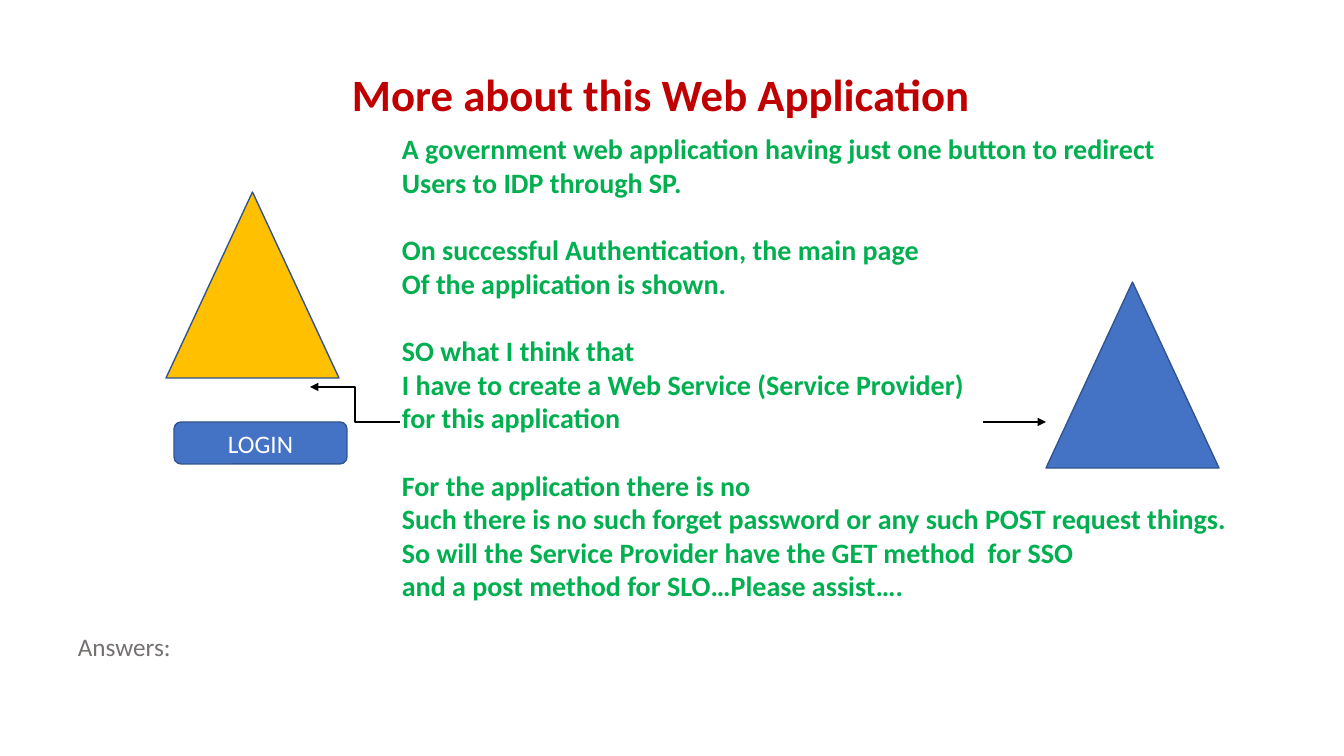
from lxml import etree
from pptx import Presentation
from pptx.dml.color import RGBColor
from pptx.enum.shapes import MSO_CONNECTOR, MSO_SHAPE
from pptx.enum.text import MSO_ANCHOR, MSO_AUTO_SIZE, PP_ALIGN
from pptx.oxml.ns import qn
from pptx.util import Emu, Pt

PX = 914400 / 100.8
FONT = "Calibri"
RED = RGBColor(0xC0, 0x00, 0x00)
GREEN = RGBColor(0x00, 0xB0, 0x50)
GREY = RGBColor(0x76, 0x71, 0x71)
GOLD = RGBColor(0xFF, 0xC0, 0x00)
BLUE = RGBColor(0x44, 0x72, 0xC4)
NAVY = RGBColor(0x32, 0x54, 0x91)
WHITE = RGBColor(0xFF, 0xFF, 0xFF)
BLACK = RGBColor(0x00, 0x00, 0x00)

QUESTION = [
    ["A government web application having just one button to redirect",
     "Users to IDP through SP."],
    ["On successful Authentication, the main page",
     "Of the application is shown."],
    ["SO what I think that",
     "I have to create a Web Service (Service Provider)",
     "for this application"],
    ["For the application there is no",
     "Such there is no such forget password or any such POST request things.",
     "So will the Service Provider have the GET method  for SSO",
     "and a post method for SLO…Please assist…."],
]


def px(*lengths):
    return [Emu(round(length * PX)) for length in lengths]


def add_run(paragraph, text, size, color, bold=False):
    run = paragraph.add_run()
    run.text = text
    run.font.name = FONT
    run.font.size = Pt(size)
    run.font.bold = bold
    run.font.color.rgb = color


def set_title(slide, text):
    title = slide.shapes.title
    title.left, title.top, title.width, title.height = px(339, 62, 644, 65)
    frame = title.text_frame
    frame.word_wrap = False
    frame.auto_size = MSO_AUTO_SIZE.SHAPE_TO_FIT_TEXT
    frame.vertical_anchor = MSO_ANCHOR.TOP
    heading = frame.paragraphs[0]
    heading.alignment = PP_ALIGN.CENTER
    add_run(heading, text, 32, RED, bold=True)


def add_text(slide, box, groups, size, color, bold=False, wrap=True):
    """Write groups of lines, with one line's height between groups."""
    frame = slide.shapes.add_textbox(*px(*box)).text_frame
    frame.word_wrap = wrap
    frame.auto_size = MSO_AUTO_SIZE.NONE if wrap else MSO_AUTO_SIZE.SHAPE_TO_FIT_TEXT
    paragraph = None
    for group in groups:
        for index, line in enumerate(group):
            first = paragraph is None
            paragraph = frame.paragraphs[0] if first else frame.add_paragraph()
            if index == 0 and not first:
                paragraph.space_before = Pt(size * 1.2)
            add_run(paragraph, line, size, color, bold)


def add_filled_shape(slide, preset, box, fill):
    shape = slide.shapes.add_shape(preset, *px(*box))
    shape.shadow.inherit = False
    shape.fill.solid()
    shape.fill.fore_color.rgb = fill
    shape.line.color.rgb = NAVY
    shape.line.width = Pt(1)
    return shape


def add_button(slide, box, label):
    button = add_filled_shape(slide, MSO_SHAPE.ROUNDED_RECTANGLE, box, BLUE)
    button.text_frame.vertical_anchor = MSO_ANCHOR.MIDDLE
    caption = button.text_frame.paragraphs[0]
    caption.alignment = PP_ALIGN.CENTER
    add_run(caption, label, 18, WHITE)


def add_arrow(slide, kind, start, end):
    arrow = slide.shapes.add_connector(kind, *px(*start, *end))
    arrow.line.color.rgb = BLACK
    arrow.line.width = Pt(1.5)
    properties = arrow.element.spPr
    line = properties.find(qn("a:ln"))
    etree.SubElement(line, qn("a:tailEnd")).set("type", "triangle")
    etree.SubElement(properties, qn("a:effectLst"))


def main():
    presentation = Presentation()
    presentation.slide_width, presentation.slide_height = px(1344, 756)
    slide = presentation.slides.add_slide(presentation.slide_layouts[5])

    set_title(slide, "More about this Web Application")
    add_filled_shape(slide, MSO_SHAPE.ISOSCELES_TRIANGLE, (166, 192, 173, 186), GOLD)
    add_text(slide, (392, 127, 852, 485), QUESTION, 20, GREEN, bold=True, wrap=False)
    add_button(slide, (174, 422, 173, 42), "LOGIN")
    add_filled_shape(slide, MSO_SHAPE.ISOSCELES_TRIANGLE, (1046, 282, 173, 186), BLUE)
    add_arrow(slide, MSO_CONNECTOR.STRAIGHT, (983, 422), (1046, 422))
    add_arrow(slide, MSO_CONNECTOR.ELBOW, (400, 422), (310, 387))
    add_text(slide, (68, 626, 1152, 102), [["Answers:"]], 18, GREY)

    presentation.save("out.pptx")


if __name__ == "__main__":
    main()
